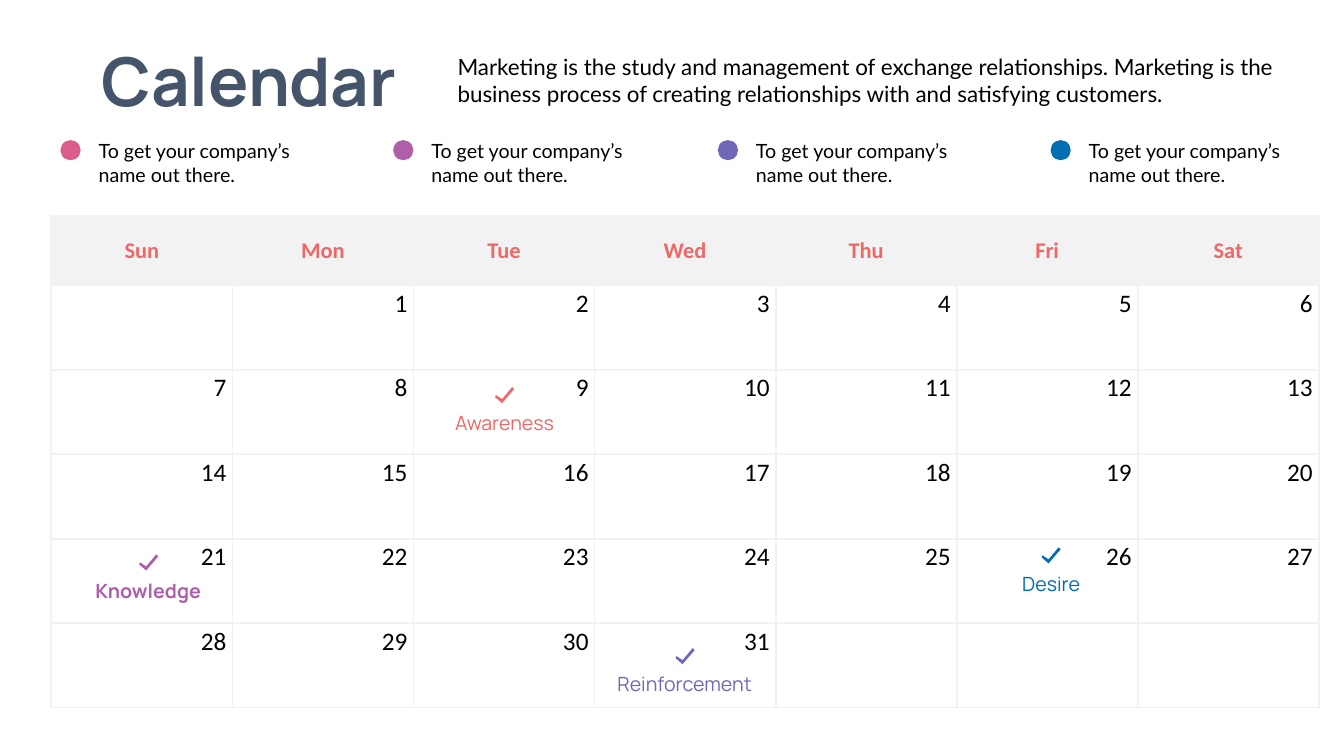
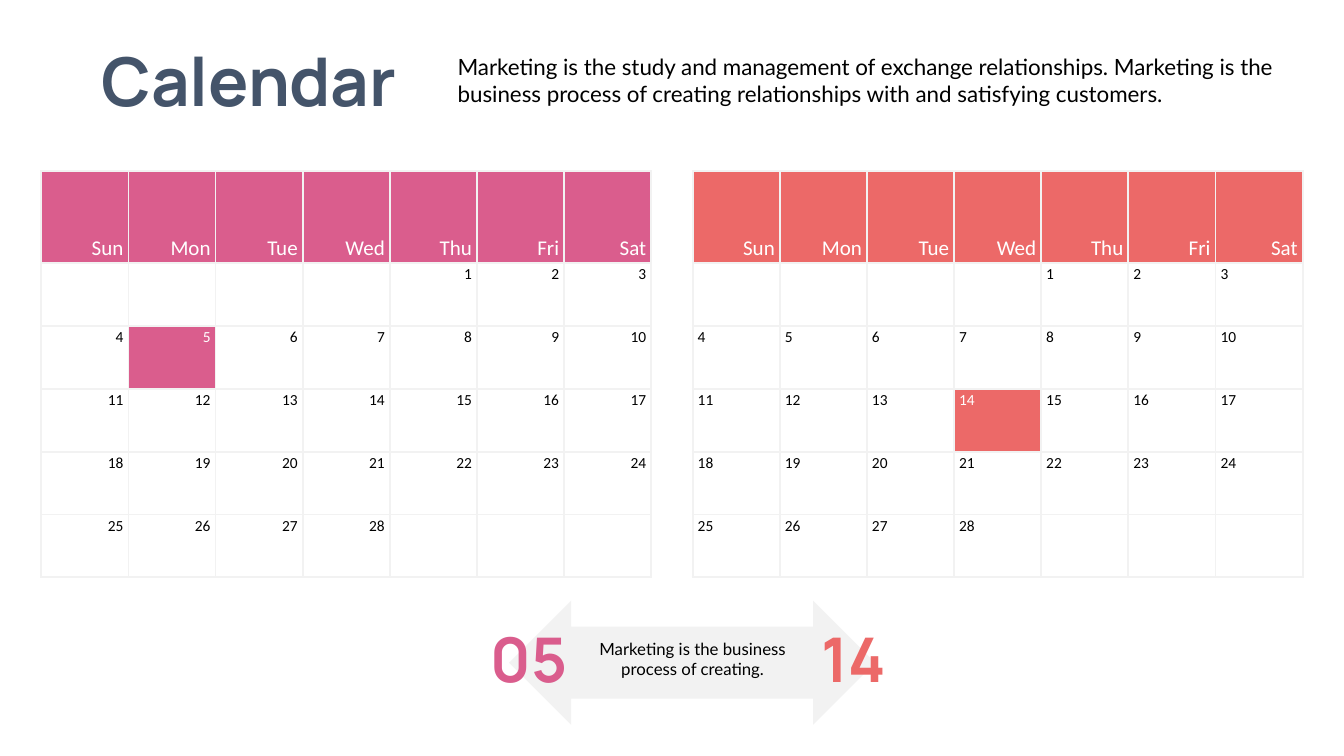
from lxml.etree import SubElement
from pptx import Presentation
from pptx.dml.color import RGBColor
from pptx.enum.shapes import MSO_SHAPE
from pptx.enum.text import MSO_ANCHOR, MSO_AUTO_SIZE, PP_ALIGN
from pptx.oxml.ns import qn
from pptx.util import Emu, Pt

# Shared style
EMU_PER_PX = 9144  # 100 px to the inch
BLACK, WHITE, SLATE, PALE = "000000", "FFFFFF", "44546A", "F2F2F2"
PINK, CORAL, PURPLE, VIOLET, BLUE = "DA5D8D", "EC6968", "AF5FAA", "6F68B9", "036DB2"
HEADING_FONT, TEXT_FONT, TABLE_FONT = "Manrope", "Lato", "Calibri"
DAY_NAMES = ["Sun", "Mon", "Tue", "Wed", "Thu", "Fri", "Sat"]
WEEKS = 5
CHECK_POINTS = [(17, 0), (19, 2), (7, 16), (0, 10), (1, 8), (7, 12)]
INTRO = ("Marketing is the study and management of exchange relationships. "
         "Marketing is the business process of creating relationships with "
         "and satisfying customers.")


def px(length):
    return Emu(round(length * EMU_PER_PX))


def colour(code):
    return RGBColor.from_string(code)


class CalendarDeck:
    def __init__(self):
        self.deck = Presentation()
        self.deck.slide_width, self.deck.slide_height = px(1333), px(750)
        self.page = None

    def new_page(self, title, intro):
        self.page = self.deck.slides.add_slide(self.deck.slide_layouts[5])
        box = self.page.shapes.title
        box.left, box.top, box.width, box.height = px(75), px(34), px(344), px(91)
        self.set_text(box.text_frame, title, 48, SLATE, HEADING_FONT, bold=True,
                      align=PP_ALIGN.CENTER)
        box.text_frame.word_wrap = False
        box.text_frame.auto_size = MSO_AUTO_SIZE.NONE
        box.text_frame.vertical_anchor = MSO_ANCHOR.TOP
        self.text(444, 48, 864, 64, intro, 16)

    def set_text(self, frame, text, size, code, font, bold=False, align=PP_ALIGN.LEFT):
        frame.text = text
        para = frame.paragraphs[0]
        para.alignment = align
        for span in para.runs:
            span.font.size, span.font.name, span.font.bold = Pt(size), font, bold
            span.font.color.rgb = colour(code)

    def text(self, left, top, width, height, text, size, align=PP_ALIGN.LEFT):
        box = self.page.shapes.add_textbox(px(left), px(top), px(width), px(height))
        box.text_frame.word_wrap = True
        self.set_text(box.text_frame, text, size, BLACK, TEXT_FONT, align=align)

    def label(self, left, top, width, height, text, size, code, bold=False):
        """Centred heading-font text without margins."""
        box = self.page.shapes.add_textbox(px(left), px(top), px(width), px(height))
        frame = box.text_frame
        frame.margin_left = frame.margin_right = frame.margin_top = frame.margin_bottom = 0
        frame.word_wrap = True
        frame.vertical_anchor = MSO_ANCHOR.MIDDLE
        self.set_text(frame, text, size, code, HEADING_FONT, bold, PP_ALIGN.CENTER)
        frame.paragraphs[0].line_spacing = 0.9

    def paint(self, shape, code):
        shape.shadow.inherit = False
        shape.fill.solid()
        shape.fill.fore_color.rgb = colour(code)
        shape.line.fill.background()

    def shape(self, kind, left, top, width, height, code):
        shape = self.page.shapes.add_shape(kind, px(left), px(top), px(width), px(height))
        self.paint(shape, code)
        return shape

    def event(self, left, top, width, text, code, bold=False):
        """Check mark centred above a label."""
        check_left, check_top = left + width // 2 - 9, top - 26
        points = [(px(check_left + x), px(check_top + y)) for x, y in CHECK_POINTS]
        builder = self.page.shapes.build_freeform(*points[0])
        builder.add_line_segments(points[1:], close=True)
        self.paint(builder.convert_to_shape(), code)
        self.label(left, top, width, 22, text, 14, code, bold)

    def legend(self, left, text, code):
        self.shape(MSO_SHAPE.OVAL, left, 139, 20, 20, code)
        self.text(left + 28, 133, 247, 57, text, 14)

    def cell(self, cell, text, size, code, fill, align, anchor, margins, bold=False):
        cell.margin_left = cell.margin_right = px(margins[0])
        cell.margin_top = cell.margin_bottom = px(margins[1])
        cell.vertical_anchor = anchor
        self.set_text(cell.text_frame, text, size, code, TABLE_FONT, bold, align)
        properties = cell._tc.get_or_add_tcPr()
        for side in ("lnL", "lnR", "lnT", "lnB"):
            line = SubElement(properties, qn(f"a:{side}"), w=str(Pt(1.5)))
            SubElement(SubElement(line, qn("a:solidFill")), qn("a:srgbClr"), val=PALE)
        if fill:
            cell.fill.solid()
            cell.fill.fore_color.rgb = colour(fill)
        else:
            cell.fill.background()

    def calendar(self, left, top, width, height, header_height, first_column, days,
                 header, day_size, day_align, margins, marked_day=None):
        """Month grid; header holds size, colour, fill, alignment, anchor and bold."""
        table = self.page.shapes.add_table(WEEKS + 1, len(DAY_NAMES), px(left), px(top),
                                           px(width), px(height)).table
        table.first_row = table.horz_banding = False
        for column in table.columns:
            column.width = px(width / len(DAY_NAMES))
        for row in table.rows:
            row.height = px((height - header_height) / WEEKS)
        table.rows[0].height = px(header_height)

        size, code, fill, align, anchor, bold = header
        for column, name in enumerate(DAY_NAMES):
            self.cell(table.cell(0, column), name, size, code, fill, align, anchor,
                      margins, bold)
        for place in range(WEEKS * len(DAY_NAMES)):
            week, column = divmod(place, len(DAY_NAMES))
            day = place - first_column + 1
            marked = day == marked_day
            self.cell(table.cell(week + 1, column), str(day) if 1 <= day <= days else "",
                      day_size, WHITE if marked else BLACK, fill if marked else None,
                      day_align, MSO_ANCHOR.TOP, margins)


def month_page(calendar_deck):
    calendar_deck.new_page("Calendar", INTRO)
    header = (16, CORAL, PALE, PP_ALIGN.CENTER, MSO_ANCHOR.MIDDLE, True)
    calendar_deck.calendar(51, 214, 1257, 488, 69, 1, 31, header, 18,
                           PP_ALIGN.RIGHT, (6, 3))

    # Events on the grid
    calendar_deck.event(444, 410, 113, "Awareness", CORAL)
    calendar_deck.event(92, 576, 110, "Knowledge", PURPLE, bold=True)
    calendar_deck.event(604, 669, 150, "Reinforcement", VIOLET)
    calendar_deck.event(1010, 569, 65, "Desire", BLUE)

    # Legend above the grid
    for left, code in ((60, PINK), (390, PURPLE), (712, VIOLET), (1042, BLUE)):
        calendar_deck.legend(left, "To get your company’s name out there.", code)


def two_month_page(calendar_deck):
    calendar_deck.new_page("Calendar", INTRO)

    # Arrow joining the two dates
    arrow = calendar_deck.shape(MSO_SHAPE.LEFT_RIGHT_ARROW, 505, 596, 363, 123, PALE)
    arrow.adjustments[0], arrow.adjustments[1] = 0.58, 0.5

    # Months with their marked dates
    months = ((41, PINK, PP_ALIGN.RIGHT, 5, 466), (687, CORAL, PP_ALIGN.LEFT, 14, 788))
    for left, code, day_align, marked_day, number_left in months:
        header = (15, WHITE, code, PP_ALIGN.RIGHT, MSO_ANCHOR.BOTTOM, False)
        calendar_deck.calendar(left, 170, 605, 403, 91, 4, 28, header, 11,
                               day_align, (5, 2), marked_day)
        calendar_deck.label(number_left, 623, 118, 68, f"{marked_day:02}", 44, code,
                            bold=True)
    calendar_deck.text(577, 629, 220, 50, "Marketing is the business process of creating.",
                       12, PP_ALIGN.CENTER)


def main():
    calendar_deck = CalendarDeck()
    month_page(calendar_deck)
    two_month_page(calendar_deck)
    calendar_deck.deck.save("out.pptx")


if __name__ == "__main__":
    main()
